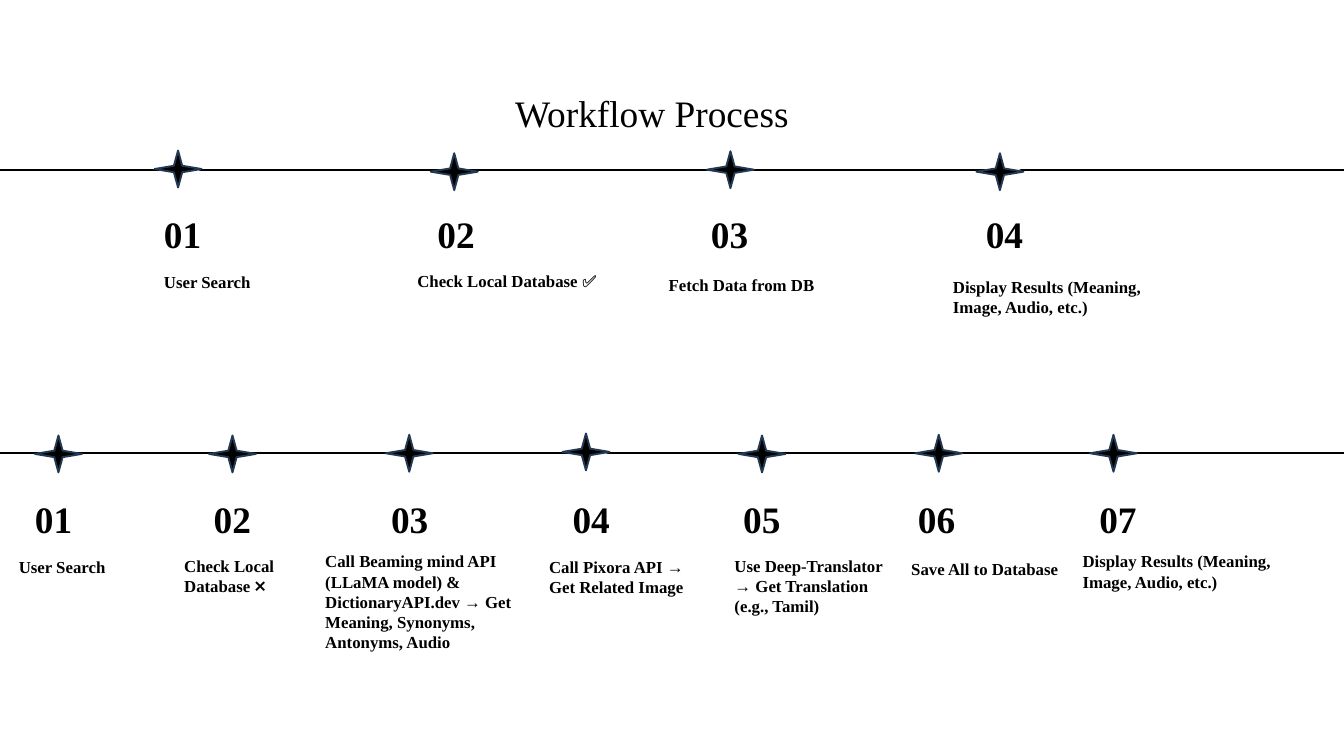
import pptx
import pptx.util
import pptx.dml.color
import pptx.enum.shapes
import pptx.enum.text
import pptx.oxml
from pptx.util import Inches

FONT = "Times New Roman"
BLACK, WHITE, NAVY = "000000", "FFFFFF", "233953"

SHORT_FLOW = [
    # number left, star left, star top, label left, label top, label width, label
    (2.44, 2.3, 2.24, 2.44, 4.05, 2.89, "User Search"),
    (6.51, 6.41, 2.28, 6.21, 4.03, 2.89, "Check Local Database ✅"),
    (10.58, 10.52, 2.25, 9.95, 4.09, 2.89, "Fetch Data from DB"),
    (14.67, 14.53, 2.28, 14.18, 4.12, 2.89, "Display Results (Meaning, Image, Audio, etc.)"),
]
LONG_FLOW = [
    (0.52, 0.52, 6.48, 0.28, 8.29, 2.89, "User Search"),
    (3.18, 3.11, 6.48, 2.74, 8.27, 1.72, "Check Local Database ❌"),
    (5.82, 5.74, 6.47, 4.84, 8.2, 3.07,
     "Call Beaming mind API (LLaMA model) & DictionaryAPI.dev → Get Meaning, Synonyms, Antonyms, Audio"),
    (8.52, 8.37, 6.45, 8.17, 8.28, 2.38, "Call Pixora API → Get Related Image"),
    (11.06, 10.99, 6.48, 10.93, 8.27, 2.38, "Use Deep-Translator → Get Translation (e.g., Tamil)"),
    (13.66, 13.62, 6.47, 13.56, 8.31, 2.89, "Save All to Database"),
    (16.36, 16.22, 6.47, 16.11, 8.2, 2.89, "Display Results (Meaning, Image, Audio, etc.)"),
]


def rgb(color):
    return pptx.dml.color.RGBColor.from_string(color)


def write(sp, text, size=18, bold=True, color=BLACK, spacing=None, align=None):
    tf = sp.text_frame
    tf.word_wrap = True
    tf.auto_size = pptx.enum.text.MSO_AUTO_SIZE.NONE
    tf.vertical_anchor = pptx.enum.text.MSO_ANCHOR.TOP
    tf.margin_left = tf.margin_right = tf.margin_top = tf.margin_bottom = 0
    p = tf.paragraphs[0]
    p.alignment = align
    if spacing:
        p.line_spacing = pptx.util.Pt(spacing)
    r = p.add_run()
    r.text = text
    r.font.name = FONT
    r.font.size = pptx.util.Pt(size)
    r.font.bold = bold
    r.font.color.rgb = rgb(color)


def add_text(s, x, y, w, h, text, **fmt):
    write(s.shapes.add_textbox(Inches(x), Inches(y), Inches(w), Inches(h)), text, **fmt)


def add_title(s, text):
    sp = s.shapes.title
    sp.left, sp.top, sp.width, sp.height = map(Inches, (2.71, 0.8, 13.98, 1.05))
    write(sp, text, size=40, bold=False, spacing=87.3, align=pptx.enum.text.PP_ALIGN.CENTER)


def add_line(s, y):
    sp = s.shapes.add_connector(
        pptx.enum.shapes.MSO_CONNECTOR.STRAIGHT, 0, Inches(y), Inches(20), Inches(y))
    sp.line.color.rgb = rgb(BLACK)
    sp.line.width = pptx.util.Pt(3)
    effects = pptx.oxml.parse_xml(
        '<a:effectLst xmlns:a="http://schemas.openxmlformats.org/drawingml/2006/main"/>')
    sp._element.spPr.append(effects)


def add_gap(s, x, y):
    far, near = 0.27, 0.09
    offsets = [(0, -far), (near, -near), (far, 0), (near, near),
               (0, far), (-near, near), (-far, 0), (-near, -near)]
    points = [(Inches(x + dx), Inches(y + dy)) for dx, dy in offsets]
    builder = s.shapes.build_freeform(*points[0])
    builder.add_line_segments(points[1:], close=True)
    sp = builder.convert_to_shape()
    sp.shadow.inherit = False
    sp.fill.solid()
    sp.fill.fore_color.rgb = rgb(WHITE)
    sp.line.fill.background()


def add_star(s, x, y):
    sp = s.shapes.add_shape(
        pptx.enum.shapes.MSO_SHAPE.STAR_4_POINT, Inches(x), Inches(y), Inches(0.7), Inches(0.55))
    sp.shadow.inherit = False
    sp.fill.solid()
    sp.fill.fore_color.rgb = rgb(BLACK)
    sp.line.color.rgb = rgb(NAVY)
    sp.line.width = pptx.util.Pt(2)


def add_flow(s, steps, line_y, gap_y, gaps, number_y):
    add_line(s, line_y)
    for x in gaps:
        add_gap(s, x, gap_y)
    for i, (number_x, star_x, star_y, x, y, w, label) in enumerate(steps, 1):
        add_text(s, number_x, number_y, 2.4, 0.68, f"{i:02}", size=40, spacing=51.5)
        add_text(s, x, y, w, 0.61, label)
        add_star(s, star_x, star_y)


def main():
    prs = pptx.Presentation()
    prs.slide_width, prs.slide_height = Inches(20), Inches(11.25)
    s = prs.slides.add_slide(prs.slide_layouts[5])
    add_title(s, "Workflow Process")
    add_flow(s, SHORT_FLOW, 2.53, 2.53, (2.71, 10.83, 14.92), 3.1)
    add_flow(s, LONG_FLOW, 6.74, 6.76, (0.8, 3.44, 6.08, 8.78, 11.31, 13.91, 16.61), 7.33)
    prs.save("out.pptx")


if __name__ == "__main__":
    main()
